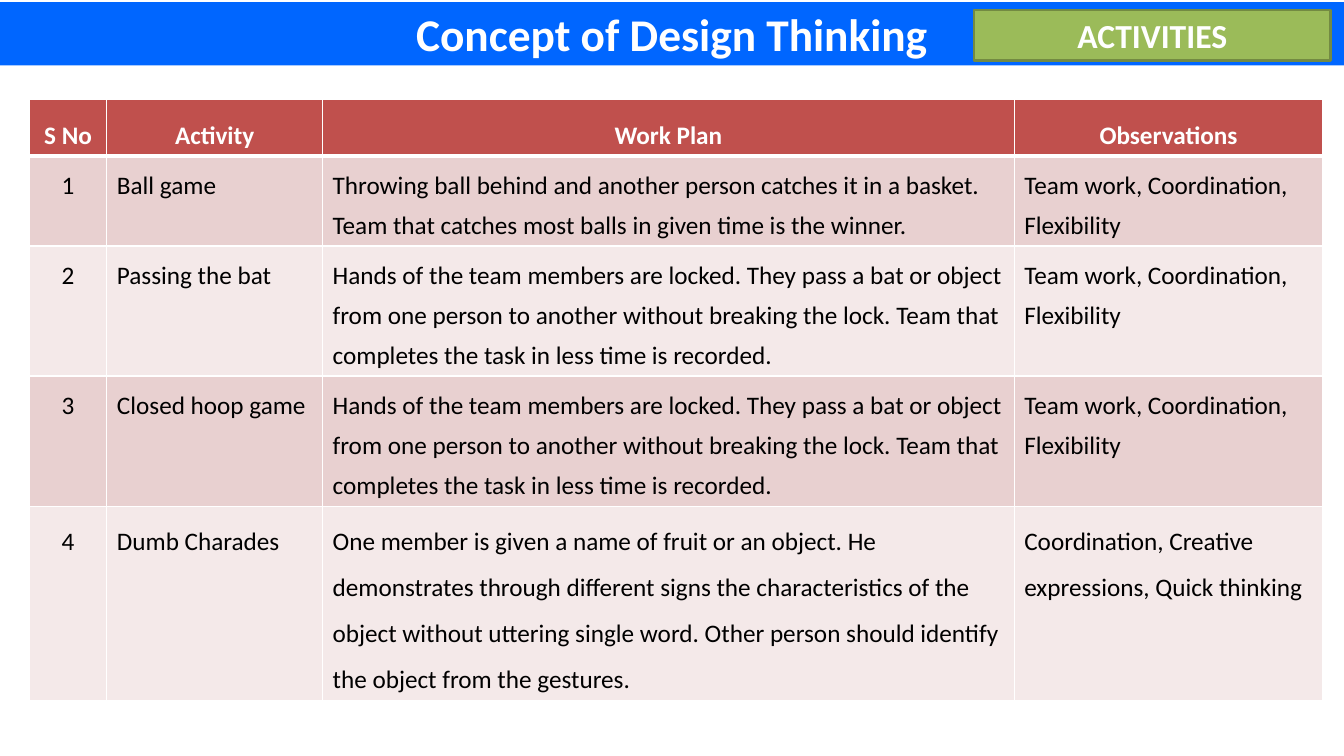
from dataclasses import dataclass

from lxml import etree
from pptx import Presentation
from pptx.dml.color import RGBColor as Rgb
from pptx.enum import shapes, text
from pptx.oxml import ns
from pptx.util import Inches, Pt


@dataclass(frozen=True)
class Theme:
    font: str = "Calibri"
    white: str = "FFFFFF"
    black: str = "000000"
    blue: str = "0066FF"
    green: str = "9BBB59"
    olive: str = "738A42"
    red: str = "C0504D"
    bands: tuple = ("E8D0D0", "F4E9E9")
    title: float = 32.4
    label: int = 24
    body: int = 18


theme = Theme()


def style(par, size, color, bold, align):
    par.alignment = align
    par.font.name = theme.font
    par.font.size = Pt(size)
    par.font.bold = bold
    par.font.color.rgb = Rgb.from_string(color)


def paint(fill, color):
    fill.solid()
    fill.fore_color.rgb = Rgb.from_string(color)


prs = Presentation()
prs.slide_width, prs.slide_height = Inches(13.33), Inches(7.5)
slide = prs.slides.add_slide(prs.slide_layouts[5])
center, left = text.PP_ALIGN.CENTER, text.PP_ALIGN.LEFT

# Title band
title = slide.shapes.title
title.left, title.top = Inches(0), Inches(0.02)
title.width, title.height = Inches(13.33), Inches(0.63)
paint(title.fill, theme.blue)
title.text_frame.text = "Concept of Design Thinking"
title.text_frame.vertical_anchor = text.MSO_ANCHOR.MIDDLE
style(title.text_frame.paragraphs[0], theme.title, theme.white, True, center)

# Activity table
team = "Team work, Coordination, Flexibility"
pass_on = ("Hands of the team members are locked. They pass a bat or object "
           "from one person to another without breaking the lock. Team that "
           "completes the task in less time is recorded.")
rows = [
    ("S No", "Activity", "Work Plan", "Observations"),
    ("1", "Ball game",
     "Throwing ball behind and another person catches it in a basket. "
     "Team that catches most balls in given time is the winner.", team),
    ("2", "Passing the bat", pass_on, team),
    ("3", "Closed hoop game", pass_on, team),
    ("4", "Dumb Charades",
     "One member is given a name of fruit or an object. He demonstrates "
     "through different signs the characteristics of the object without "
     "uttering single word. Other person should identify the object from "
     "the gestures.",
     "Coordination, Creative expressions, Quick thinking"),
]
widths = (0.77, 2.14, 6.86, 3.06)
heights = (0.55, 0.88, 1.28, 1.28, 1.88)
spaces = (1.5, 1.3, 1.3, 1.3, 1.5)
edges = {"a:lnL": 1, "a:lnR": 1, "a:lnT": 1, "a:lnB": 3}

table = slide.shapes.add_table(
    len(rows), len(widths), Inches(0.29), Inches(0.99),
    Inches(sum(widths)), Inches(sum(heights))).table
for col, width in zip(table.columns, widths):
    col.width = Inches(width)
for r, row in enumerate(rows):
    table.rows[r].height = Inches(heights[r])
    head = r == 0
    for c, words in enumerate(row):
        cell = table.cell(r, c)
        if head:
            props = cell._tc.get_or_add_tcPr()
            for tag, size in edges.items():
                line = etree.SubElement(props, ns.qn(tag), w=str(Pt(size)))
                solid = etree.SubElement(line, ns.qn("a:solidFill"))
                etree.SubElement(solid, ns.qn("a:srgbClr"), val=theme.white)
        paint(cell.fill, theme.red if head else theme.bands[(r - 1) % 2])
        cell.text = words
        par = cell.text_frame.paragraphs[0]
        par.line_spacing = spaces[r]
        style(par, theme.body, theme.white if head else theme.black, head,
              center if head or c == 0 else left)

# Activities label
label = slide.shapes.add_shape(
    shapes.MSO_SHAPE.RECTANGLE,
    Inches(9.66), Inches(0.1), Inches(3.54), Inches(0.5))
label.shadow.inherit = False
paint(label.fill, theme.green)
label.line.color.rgb = Rgb.from_string(theme.olive)
label.line.width = Pt(2)
label.text_frame.text = "ACTIVITIES"
label.text_frame.word_wrap = True
label.text_frame.auto_size = text.MSO_AUTO_SIZE.SHAPE_TO_FIT_TEXT
label.text_frame.vertical_anchor = text.MSO_ANCHOR.MIDDLE
style(label.text_frame.paragraphs[0], theme.label, theme.white, True, center)

prs.save("out.pptx")
